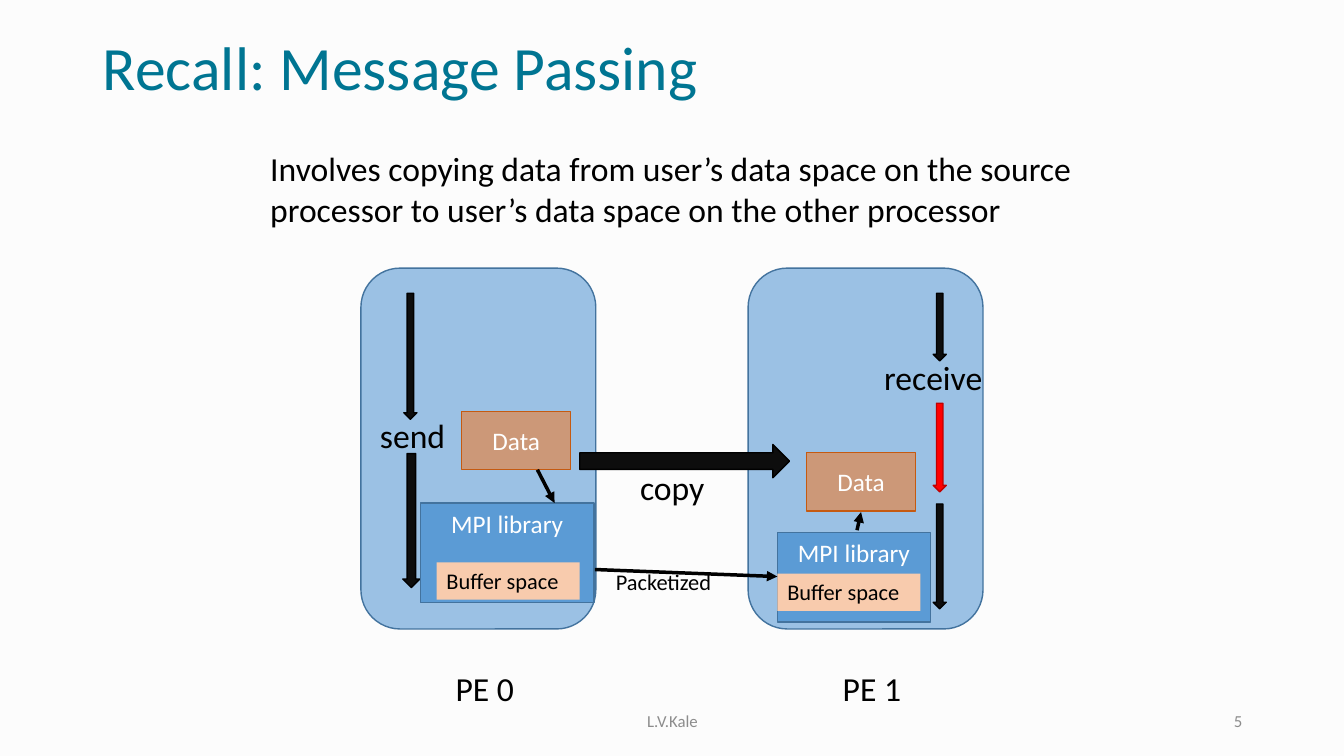
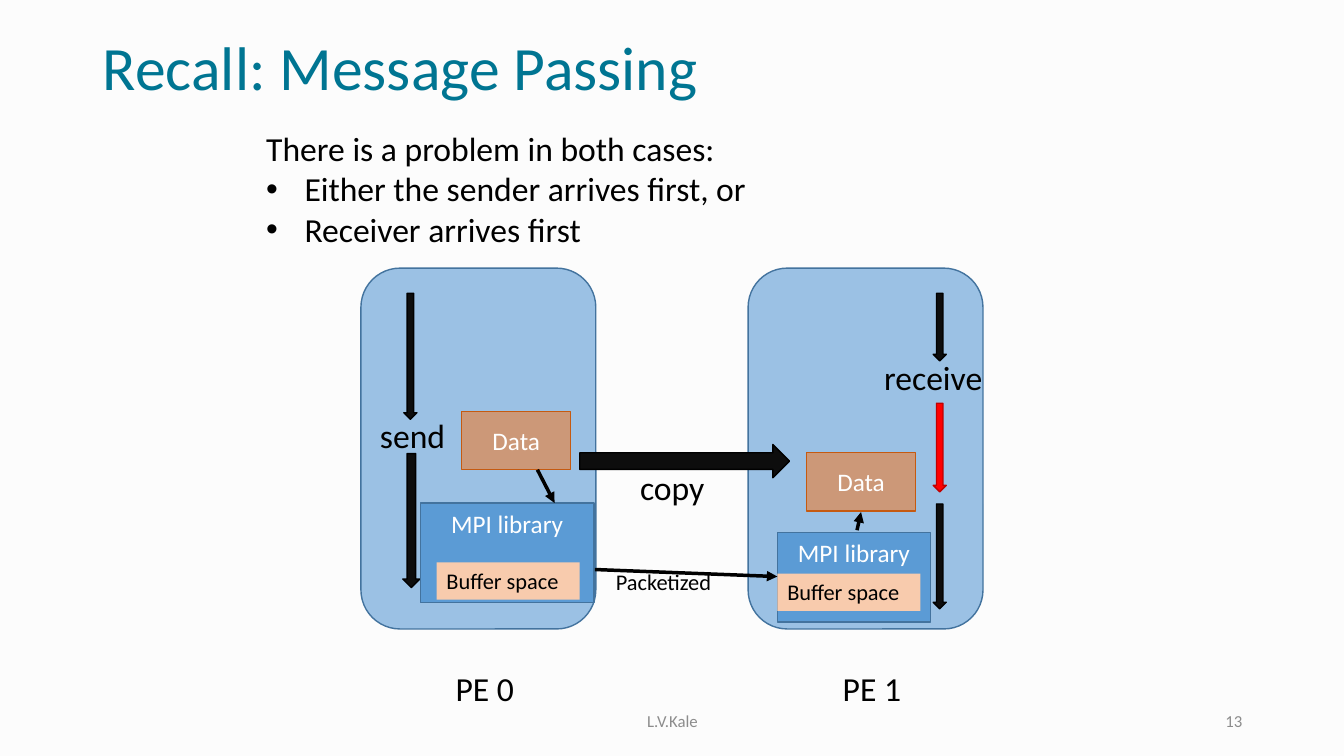
from lxml import etree
from pptx import Presentation
from pptx.dml.color import RGBColor
from pptx.enum.shapes import MSO_CONNECTOR, MSO_SHAPE
from pptx.enum.text import MSO_ANCHOR, MSO_AUTO_SIZE, PP_ALIGN
from pptx.oxml.ns import qn
from pptx.util import Inches, Pt

RECT = MSO_SHAPE.RECTANGLE
ROUND = MSO_SHAPE.ROUNDED_RECTANGLE
ARROW = MSO_SHAPE.RIGHT_ARROW
LINE = MSO_CONNECTOR.STRAIGHT
TOP, MIDDLE = MSO_ANCHOR.TOP, MSO_ANCHOR.MIDDLE
LEFT, CENTER, RIGHT = PP_ALIGN.LEFT, PP_ALIGN.CENTER, PP_ALIGN.RIGHT
GROW, FIXED = MSO_AUTO_SIZE.SHAPE_TO_FIT_TEXT, MSO_AUTO_SIZE.NONE

FONT = "Calibri"
PAPER = RGBColor(0xFC, 0xFC, 0xFC)
TEAL = RGBColor(0x00, 0x75, 0x92)
GRAY = RGBColor(0x8C, 0x8C, 0x8C)
BLACK = RGBColor(0x00, 0x00, 0x00)
INK = RGBColor(0x0D, 0x0D, 0x0D)
WHITE = RGBColor(0xFF, 0xFF, 0xFF)
BLUE = RGBColor(0x5B, 0x9B, 0xD5)
NAVY = RGBColor(0x43, 0x73, 0x9E)
ORANGE = RGBColor(0xED, 0x7D, 0x31)
RUST = RGBColor(0xC5, 0x5A, 0x11)
PEACH = RGBColor(0xF8, 0xCB, 0xAD)
RED = RGBColor(0xFF, 0x00, 0x00)
MAROON = RGBColor(0xC0, 0x00, 0x00)

TITLE = "Recall: Message Passing"
AUTHOR = "L.V.Kale"
COPYING = ("Involves copying data from user’s data space on the source "
           "processor to user’s data space on the other processor")
PROBLEM = "There is a problem in both cases:"
CASES = ["Either the sender arrives first, or", "Receiver arrives first"]


def place(shape, box):
    shape.left, shape.top, shape.width, shape.height = map(Inches, box)


def write(para, text, size, color, align=LEFT):
    para.alignment = align
    run = para.add_run()
    run.text = text
    run.font.name = FONT
    run.font.size = Pt(size)
    run.font.color.rgb = color


def add_label(slide, box, text, size=24, color=BLACK, align=LEFT,
              anchor=TOP, wrap=False, fit=GROW):
    label = slide.shapes.add_textbox(*map(Inches, box))
    frame = label.text_frame
    frame.word_wrap = wrap
    frame.auto_size = fit
    frame.vertical_anchor = anchor
    write(frame.paragraphs[0], text, size, color, align)


def add_block(slide, kind, box, fill, line=None, alpha=None):
    block = slide.shapes.add_shape(kind, *map(Inches, box))
    block.shadow.inherit = False
    block.fill.solid()
    block.fill.fore_color.rgb = fill
    if alpha:
        color = block._element.spPr.find(qn("a:solidFill"))[0]
        etree.SubElement(color, qn("a:alpha"), val=str(alpha * 1000))
    if line is None:
        block.line.fill.background()
    else:
        block.line.color.rgb = line
        block.line.width = Pt(1)
    return block


def fill_text(block, text, size, color, align=CENTER, anchor=TOP):
    frame = block.text_frame
    frame.word_wrap = True
    frame.vertical_anchor = anchor
    write(frame.paragraphs[0], text, size, color, align)


def add_flow(slide, mid, top, length, thick=0.13, fill=INK, line=BLACK):
    box = (mid - length / 2, top + (length - thick) / 2, length, thick)
    add_block(slide, ARROW, box, fill, line).rotation = 90


def add_link(slide, start, end):
    link = slide.shapes.add_connector(LINE, *map(Inches, start + end))
    link.line.color.rgb = BLACK
    link.line.width = Pt(2.5)
    etree.SubElement(link.line._get_or_add_ln(), qn("a:tailEnd"), type="triangle")
    etree.SubElement(link._element.spPr, qn("a:effectLst"))


def add_list(slide, box, lead, items):
    body = slide.placeholders[1]
    place(body, box)
    frame = body.text_frame
    frame.auto_size = FIXED
    for spot, text in enumerate([lead] + items):
        para = frame.add_paragraph() if spot else frame.paragraphs[0]
        write(para, text, 24, BLACK)
        para.space_before = Pt(0)
        props = para._p.get_or_add_pPr()
        indent = Inches(0.38) if spot else 0
        props.set("marL", str(indent))
        props.set("indent", str(-indent))
        if spot:
            etree.SubElement(props, qn("a:buFont"), typeface="Arial")
            etree.SubElement(props, qn("a:buChar"), char="•")
        else:
            etree.SubElement(props, qn("a:buNone"))


def add_base(deck, number):
    slide = deck.slides.add_slide(deck.slide_layouts[1])
    title = slide.shapes.title
    place(title, (0.92, 0.28, 11.5, 0.84))
    frame = title.text_frame
    frame.auto_size = FIXED
    frame.vertical_anchor = MIDDLE
    para = frame.paragraphs[0]
    para.line_spacing = 0.9
    write(para, TITLE, 44, TEAL)
    for left, width, text, align in ((4.42, 4.5, AUTHOR, CENTER),
                                     (9.42, 3, str(number), RIGHT)):
        add_label(slide, (left, 6.95, width, 0.4), text, 12, GRAY, align,
                  MIDDLE, True, FIXED)
    return slide


def draw_nodes(slide):
    for rank, left in enumerate((3.58, 7.42)):
        add_block(slide, ROUND, (left, 2.66, 2.33, 3.58), BLUE, NAVY, 60)
        add_label(slide, (left + 0.84, 6.58, 0.79, 0.51), f"PE {rank}")
    for left, top in ((4.58, 4.08), (8, 4.49)):
        data = add_block(slide, RECT, (left, top, 1.08, 0.58), ORANGE, RUST, 60)
        fill_text(data, "Data", 18, WHITE, anchor=MIDDLE)


def draw_flows(slide):
    add_label(slide, (3.67, 4.07, 0.86, 0.51), "send")
    add_label(slide, (8.67, 3.49, 1.19, 0.51), "receive")
    add_block(slide, ARROW, (5.75, 4.41, 2.08, 0.33), INK, BLACK)
    add_label(slide, (6.25, 4.58, 0.85, 0.51), "copy")
    add_flow(slide, 4.07, 2.91, 1.25)
    add_flow(slide, 4.08, 4.5, 1.33, 0.17)
    add_flow(slide, 9.32, 2.91, 0.67)
    add_flow(slide, 9.32, 5, 1.04)
    add_flow(slide, 9.32, 4, 0.88, fill=RED, line=MAROON)


def draw_buffers(slide):
    for box in ((4.17, 4.99, 1.72, 0.99), (7.71, 5.28, 1.52, 0.89)):
        library = add_block(slide, RECT, box, BLUE, NAVY)
        fill_text(library, "MPI library", 18, WHITE)
    for left, top in ((4.33, 5.58), (7.71, 5.69)):
        buffer = add_block(slide, RECT, (left, top, 1.42, 0.37), PEACH)
        fill_text(buffer, "Buffer space", 16, BLACK, LEFT)
    add_link(slide, (5.33, 4.66), (5.5, 4.99))
    add_link(slide, (8.5, 5.26), (8.54, 5.08))
    add_link(slide, (5.9, 5.65), (7.71, 5.72))
    add_label(slide, (6.01, 5.59, 1.38, 0.37), "Packetized", 16, wrap=True)


def main():
    deck = Presentation()
    deck.slide_width, deck.slide_height = Inches(13.33), Inches(7.5)
    paper = deck.slide_master.background.fill
    paper.solid()
    paper.fore_color.rgb = PAPER
    pages = (
        (5, (2.58, 1.42, 8.25, 0.91), COPYING, []),
        (13, (2.54, 1.22, 8.25, 1.31), PROBLEM, CASES),
    )
    for number, box, lead, items in pages:
        slide = add_base(deck, number)
        add_list(slide, box, lead, items)
        draw_nodes(slide)
        draw_flows(slide)
        draw_buffers(slide)
    deck.save("out.pptx")


if __name__ == "__main__":
    main()
